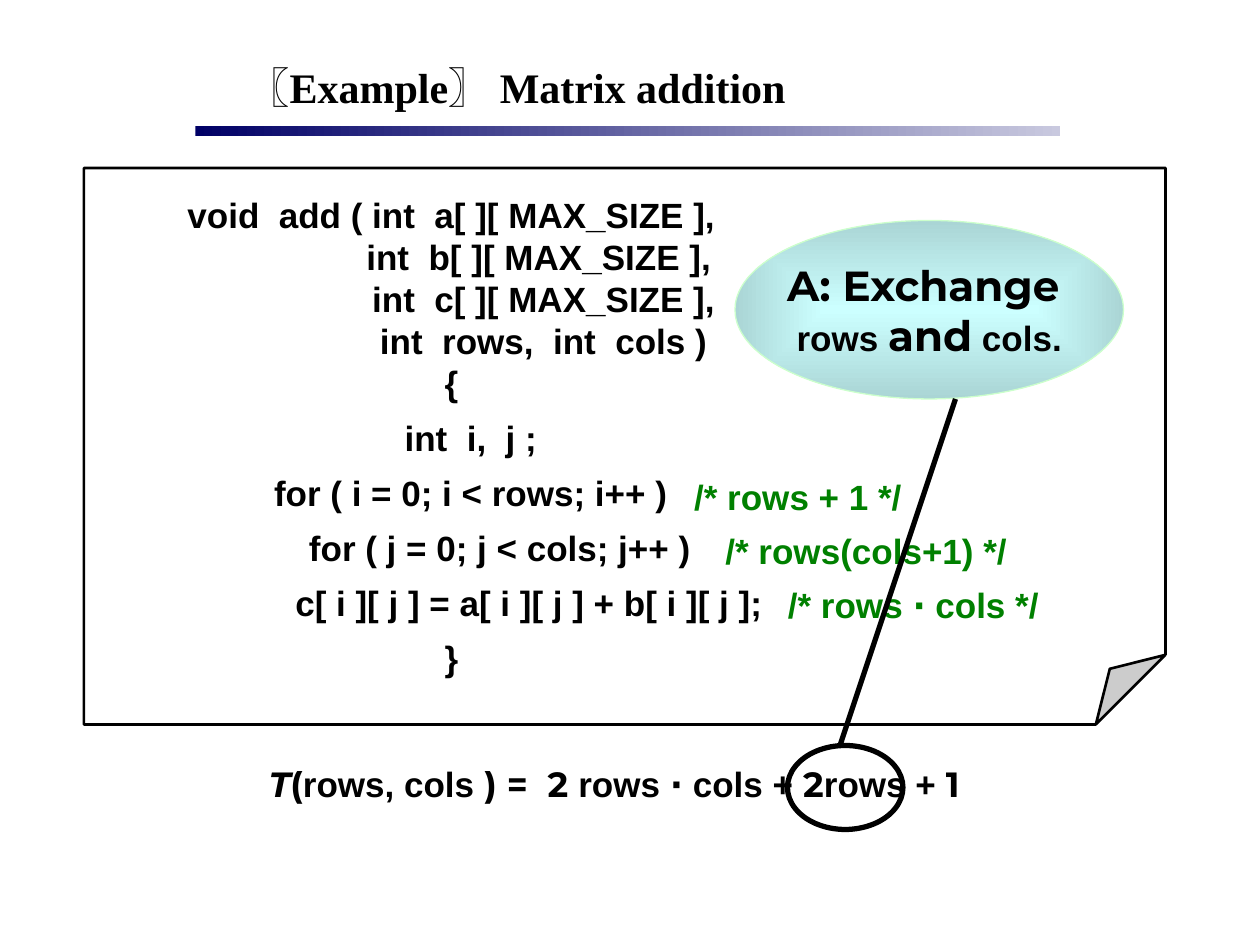
from pptx import Presentation
from pptx.dml.color import RGBColor
from pptx.enum.shapes import MSO_CONNECTOR, MSO_SHAPE
from pptx.enum.text import MSO_ANCHOR, MSO_AUTO_SIZE, PP_ALIGN
from pptx.oxml import parse_xml
from pptx.oxml.ns import nsdecls
from pptx.util import Inches, Pt

BLACK = RGBColor(0, 0, 0)
WHITE = RGBColor(255, 255, 255)
GREEN = RGBColor(0, 0x80, 0)
NAVY = RGBColor(0, 0, 0x66)
HAZE = RGBColor(0xC9, 0xC9, 0xDF)
AQUA = RGBColor(0xCC, 0xFF, 0xFF)
TEAL = RGBColor(0xAA, 0xD5, 0xD5)
MINT = RGBColor(0xCC, 0xFF, 0xCC)

SANS, SHOW, SERIF = "Arial", "Montserrat", "Times New Roman"
CELL = Inches(1) / 12  # grid of 120 columns and 90 rows
STEP = 0.077  # width of one code column, in inches

# Code lines: indent in code columns, text, space after in points
CODE = [
    (0, "void  add ( int  a[ ][ MAX_SIZE ],", 0),
    (18, "int  b[ ][ MAX_SIZE ],", 0),
    (19, "int  c[ ][ MAX_SIZE ],", 0),
    (19, "int  rows,  int  cols )", 0),
    (0, "{", 7.5),
    (4, "int  i,  j ;", 7.5),
    (4, "for ( i = 0; i < rows; i++ )", 7.5),
    (10, "for ( j = 0; j < cols; j++ )", 7.5),
    (16, "c[ i ][ j ] = a[ i ][ j ] + b[ i ][ j ];", 7.5),
    (0, "}", 7.5),
]

# Comments: column, row, width, text
NOTES = [
    (63, 44.7, 26, "/* rows + 1 */"),
    (66.5, 49.8, 32, "/* rows(cols+1) */"),
    (72, 55, 30, "/* rows ⋅ cols */"),
]


def grid(*cells):
    return [round(c * CELL) for c in cells]


def write(para, text, font=SANS, size=20, color=BLACK, slant=False):
    run = para.add_run()
    run.text = text
    face = run.font
    face.name, face.size, face.bold = font, Pt(size), True
    face.italic = slant
    face.color.rgb = color


def indent(para, left, first=0):
    props = para._p.get_or_add_pPr()
    props.set("marL", str(Inches(left)))
    props.set("indent", str(Inches(first)))


def box(slide, *cells):
    frame = slide.shapes.add_textbox(*grid(*cells)).text_frame
    frame.word_wrap = True
    frame.paragraphs[0].alignment = PP_ALIGN.CENTER
    return frame


def form(slide, kind, cells, line=None, width=1.0, fill=None):
    shape = slide.shapes.add_shape(kind, *grid(*cells))
    shape.shadow.inherit = False
    if fill is None:
        shape.fill.background()
    else:
        shape.fill.solid()
        shape.fill.fore_color.rgb = fill
    if line is None:
        shape.line.fill.background()
    else:
        shape.line.color.rgb = line
        shape.line.width = Pt(width)
    return shape


def blend(shape, start, end):
    shape.fill.gradient()
    shape.fill.gradient_angle = 0
    for stop, color, spot in zip(shape.fill.gradient_stops, (start, end), (0, 1)):
        stop.color.rgb = color
        stop.position = spot


def center(shape):
    """Let the gradient run from the middle of the shape outwards."""
    lin = shape._element.spPr.find(".//{*}lin")
    lin.getparent().replace(lin, parse_xml(
        f'<a:path {nsdecls("a")} path="rect">'
        '<a:fillToRect l="50000" t="50000" r="50000" b="50000"/></a:path>'))


def fold(shape, share):
    """Set the size of the folded corner as a share of the short side."""
    guides = shape._element.spPr.find(".//{*}avLst")
    guides.append(parse_xml(
        f'<a:gd {nsdecls("a")} name="adj" fmla="val {round(share * 100000)}"/>'))


def link(slide, *cells):
    line = slide.shapes.add_connector(MSO_CONNECTOR.STRAIGHT, *grid(*cells))
    line.line.color.rgb = BLACK
    line.line.width = Pt(3)
    line._element.spPr.append(parse_xml(f'<a:effectLst {nsdecls("a")}/>'))


def head(slide):
    bar = form(slide, MSO_SHAPE.RECTANGLE, (18.6, 12, 82.4, 1))
    blend(bar, NAVY, HAZE)
    title = slide.shapes.title
    title.left, title.top, title.width, title.height = grid(17.4, 5.3, 63.6, 6)
    frame = title.text_frame
    frame.auto_size = MSO_AUTO_SIZE.NONE
    frame.vertical_anchor = MSO_ANCHOR.TOP
    para = frame.paragraphs[0]
    para.alignment = PP_ALIGN.CENTER
    indent(para, 0.32, -0.32)
    write(para, "〖Example〗 Matrix addition", font=SERIF, size=24)


def code(slide):
    page = form(slide, MSO_SHAPE.FOLDED_CORNER, (8, 16, 103, 53),
                BLACK, 1.5, WHITE)
    fold(page, 0.125)
    frame = box(slide, 10, 17.8, 66, 47.5)
    for row, (cols, text, after) in enumerate(CODE):
        para = frame.add_paragraph() if row else frame.paragraphs[0]
        para.alignment = PP_ALIGN.CENTER
        para.space_after = Pt(after)
        indent(para, cols * STEP)
        write(para, text)
    for left, top, width, text in NOTES:
        write(box(slide, left, top, width, 5.3).paragraphs[0], text, color=GREEN)


def cost(slide):
    para = box(slide, 23, 72, 71, 5.3).paragraphs[0]
    write(para, "T", font=SHOW, slant=True)
    parts = ["(", "rows, cols", " ) =  2 ", "rows ⋅ cols +", " 2", "rows +", " 1"]
    for spot, text in enumerate(parts):
        write(para, text, font=SANS if spot % 2 else SHOW)


def answer(slide):
    oval = form(slide, MSO_SHAPE.OVAL, (70, 21, 37, 17), MINT, 0.75)
    blend(oval, AQUA, TEAL)
    center(oval)
    frame = oval.text_frame
    frame.word_wrap = False
    frame.vertical_anchor = MSO_ANCHOR.MIDDLE
    top, low = frame.paragraphs[0], frame.add_paragraph()
    top.alignment = low.alignment = PP_ALIGN.CENTER
    write(top, "A: Exchange ", font=SHOW, size=24)
    write(low, "rows ")
    write(low, "and", font=SHOW, size=24)
    write(low, " cols.")
    # Ring around the term and its line to the answer
    form(slide, MSO_SHAPE.OVAL, (75, 71, 11, 8), BLACK, 3)
    link(slide, 80, 71, 91, 38)


def main():
    deck = Presentation()
    deck.slide_width, deck.slide_height = grid(120, 90)
    slide = deck.slides.add_slide(deck.slide_layouts[5])
    head(slide)
    code(slide)
    cost(slide)
    answer(slide)
    deck.save("out.pptx")


if __name__ == "__main__":
    main()
